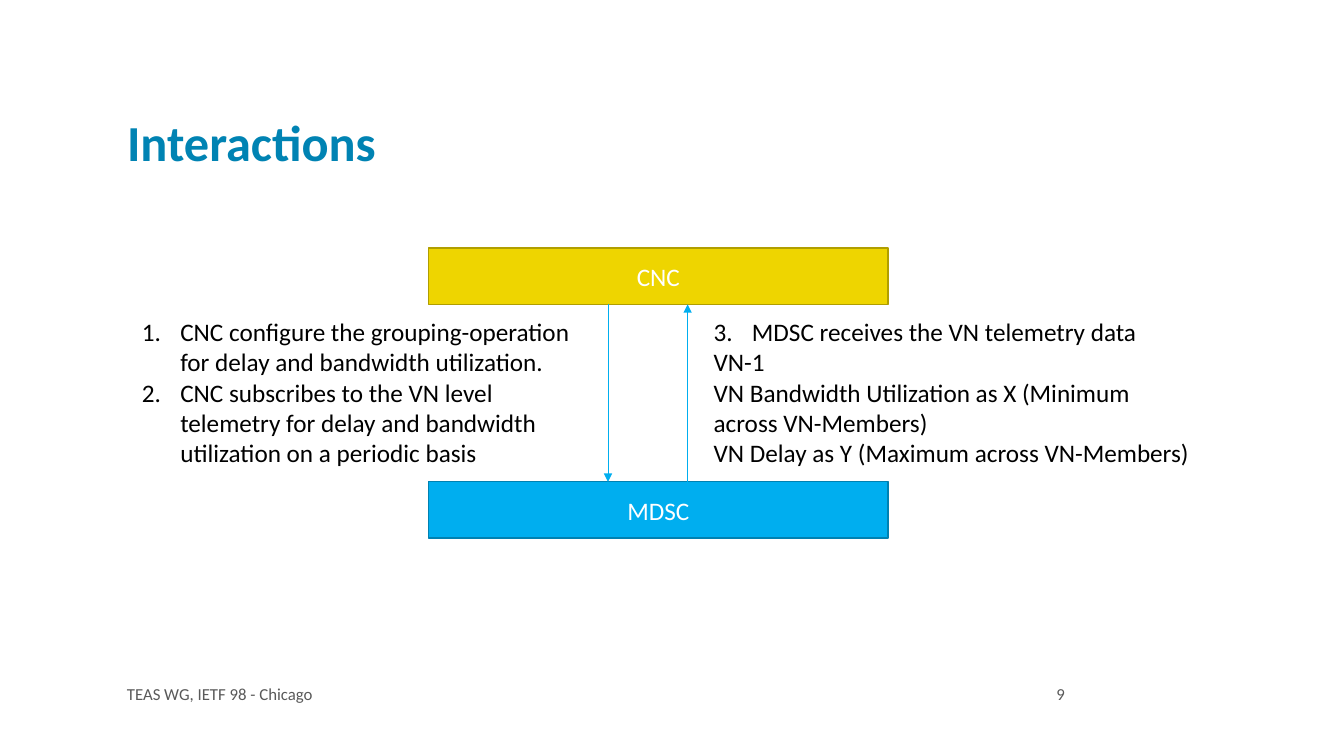
from lxml import etree
from pptx import Presentation
from pptx.dml.color import RGBColor
from pptx.enum.shapes import MSO_CONNECTOR, MSO_SHAPE
from pptx.enum.text import MSO_ANCHOR, MSO_AUTO_SIZE, PP_ALIGN
from pptx.oxml.ns import qn
from pptx.util import Inches, Pt

LEFT, CENTER, RIGHT = PP_ALIGN.LEFT, PP_ALIGN.CENTER, PP_ALIGN.RIGHT
TOP, MIDDLE, BOTTOM = MSO_ANCHOR.TOP, MSO_ANCHOR.MIDDLE, MSO_ANCHOR.BOTTOM
NO_AUTOFIT = MSO_AUTO_SIZE.NONE
RECTANGLE, STRAIGHT = MSO_SHAPE.RECTANGLE, MSO_CONNECTOR.STRAIGHT

BLUE, GRAY = "00AEEF", "595959"
BOX_LEFT, BOX_WIDTH, BOX_HEIGHT = 4.25, 4.56, 0.56
CNC_TOP, MDSC_TOP = 2.46, 4.78
CNC_BOTTOM = CNC_TOP + BOX_HEIGHT
NUMBER_INDENT = Inches(0.38)


def color(hex_value):
    return RGBColor.from_string(hex_value)


def write_text(shape, lines, size=18, hex_color="000000", bold=False,
               align=LEFT, anchor=TOP, spacing=1.0, numbers=()):
    """Fill a shape with one paragraph per line; numbers[i] numbers line i."""
    frame = shape.text_frame
    frame.text = "\n".join(lines)
    frame.word_wrap = True
    frame.auto_size = NO_AUTOFIT
    frame.vertical_anchor = anchor
    for index, paragraph in enumerate(frame.paragraphs):
        paragraph.alignment = align
        paragraph.line_spacing = spacing
        font = paragraph.runs[0].font
        font.name, font.size, font.bold = "Calibri", Pt(size), bold
        font.color.rgb = color(hex_color)
        if index < len(numbers):
            properties = paragraph._p.get_or_add_pPr()
            properties.set("marL", str(NUMBER_INDENT))
            properties.set("indent", str(-NUMBER_INDENT))
            numbering = etree.SubElement(properties, qn("a:buAutoNum"), type="arabicPeriod")
            if numbers[0] > 1:
                numbering.set("startAt", str(numbers[0]))


presentation = Presentation()
presentation.slide_width = Inches(13.33)
presentation.slide_height = Inches(7.5)
slide = presentation.slides.add_slide(presentation.slide_layouts[5])

title = slide.shapes.title
title.left, title.top = Inches(1.16), Inches(0.58)
title.width, title.height = Inches(9.5), Inches(1.17)
write_text(title, ["Interactions"], size=36, hex_color="0083B3", bold=True,
           anchor=BOTTOM, spacing=0.8)

# Footer
for text, left, width, align in [
    ("TEAS WG, IETF 98 - Chicago", 1.16, 6.18, LEFT),
    ("9", 9.33, 1.33, RIGHT),
]:
    footer = slide.shapes.add_textbox(Inches(left), Inches(6.73), Inches(width), Inches(0.3))
    write_text(footer, [text], size=12, hex_color=GRAY, align=align, anchor=MIDDLE)

# Controllers
for name, top, fill, outline in [
    ("MDSC", MDSC_TOP, BLUE, "0081B1"),
    ("CNC", CNC_TOP, "EED500", "B09E00"),
]:
    box = slide.shapes.add_shape(RECTANGLE, Inches(BOX_LEFT), Inches(top),
                                 Inches(BOX_WIDTH), Inches(BOX_HEIGHT))
    box.shadow.inherit = False
    box.fill.solid()
    box.fill.fore_color.rgb = color(fill)
    box.line.color.rgb = color(outline)
    box.line.width = Pt(1)
    write_text(box, [name], hex_color="FFFFFF", align=CENTER, anchor=MIDDLE)

# Request goes down, telemetry comes back up
for x, start, end in [(6.03, CNC_BOTTOM, MDSC_TOP), (6.82, MDSC_TOP, CNC_BOTTOM)]:
    arrow = slide.shapes.add_connector(STRAIGHT, Inches(x), Inches(start), Inches(x), Inches(end))
    arrow.line.color.rgb = color(BLUE)
    arrow.line.width = Pt(0.5)
    etree.SubElement(arrow.line._get_or_add_ln(), qn("a:tailEnd"), type="triangle")
    etree.SubElement(arrow._element.spPr, qn("a:effectLst"))

# Interaction steps
for left, width, numbers, lines in [
    (1.31, 4.49, (1, 2), [
        "CNC configure the grouping-operation for delay and bandwidth utilization.",
        "CNC subscribes to the VN level telemetry for delay and bandwidth "
        "utilization on a periodic basis",
    ]),
    (6.98, 4.96, (3,), [
        "MDSC receives the VN telemetry data",
        "VN-1",
        "VN Bandwidth Utilization as X (Minimum across VN-Members)",
        "VN Delay as Y (Maximum across VN-Members)",
    ]),
]:
    steps = slide.shapes.add_textbox(Inches(left), Inches(3.09), Inches(width), Inches(1.62))
    write_text(steps, lines, numbers=numbers)

presentation.save("out.pptx")
